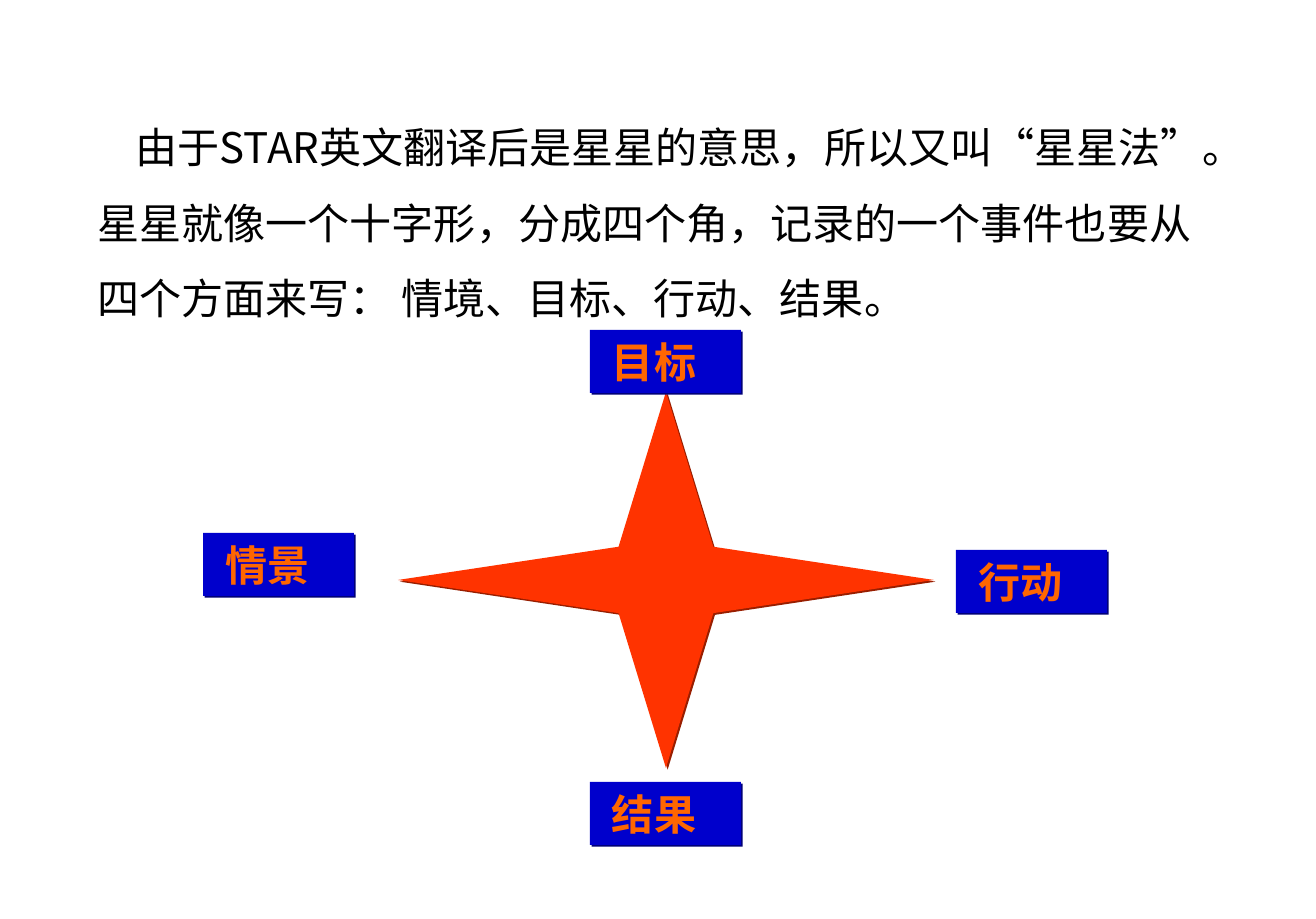
from lxml import etree
from pptx import Presentation, util as u
from pptx.dml.color import RGBColor
from pptx.enum import shapes, text
from pptx.oxml.ns import qn

PX = 7246  # EMU per px
THEME = {
    "font": "Noto Sans CJK SC", "size": u.Pt(24),
    "ink": "000000", "label": "FF6600",
    "box": "0000CC", "box_shadow": "000079",
    "star": "FF3300", "star_shadow": "981E00",
}


def add_filled(kind, box, fill, shadow):
    """Add a borderless shape with a thin hard shadow to the lower right."""
    sp = s.shapes.add_shape(kind, *(v * PX for v in box))
    sp.fill.solid()
    sp.fill.fore_color.rgb = RGBColor.from_string(THEME[fill])
    sp.line.fill.background()
    sp.shadow.inherit = False
    effects = sp._element.spPr.find(qn("a:effectLst"))
    outer = etree.SubElement(effects, qn("a:outerShdw"), dist=str(int(u.Pt(1.4))),
                             dir="2700000", algn="ctr", rotWithShape="0")
    etree.SubElement(outer, qn("a:srgbClr"), val=THEME[shadow])
    return sp


def write(sp, words, color, bold, frame):
    tf = sp.text_frame
    for name, value in frame.items():
        setattr(tf, name, value)
    p = tf.paragraphs[0]
    p.alignment = text.PP_ALIGN.LEFT
    r = p.add_run()
    r.text = words
    for name, value in {"name": THEME["font"], "size": THEME["size"], "bold": bold}.items():
        setattr(r.font, name, value)
    r.font.color.rgb = RGBColor.from_string(THEME[color])
    etree.SubElement(r._r.get_or_add_rPr(), qn("a:ea"), typeface=THEME["font"])
    return p


prs = Presentation()
prs.slide_width, prs.slide_height = 1316 * PX, 919 * PX
s = prs.slides.add_slide(prs.slide_layouts[6])

# Introduction
intro = s.shapes.add_textbox(*(v * PX for v in (85, 90, 1138, 240)))
p = write(intro, "由于STAR英文翻译后是星星的意思，所以又叫“星星法”。星星就像一个十字形，"
          "分成四个角，记录的一个事件也要从四个方面来写： 情境、目标、行动、结果。",
          "ink", False, {"word_wrap": True, "auto_size": text.MSO_AUTO_SIZE.SHAPE_TO_FIT_TEXT})
p.line_spacing = 1.5
p._p.get_or_add_pPr().set("indent", str(38 * PX))

# Star
star = add_filled(shapes.MSO_SHAPE.STAR_4_POINT, (398, 392, 536, 376), "star", "star_shadow")
star.adjustments[0] = 0.125

# Labels at the four points
label_frame = {"word_wrap": True, "margin_left": 22 * PX,
               "vertical_anchor": text.MSO_ANCHOR.MIDDLE}
for words, left, top in (("情景", 203, 533), ("结果", 590, 782),
                         ("目标", 590, 330), ("行动", 956, 550)):
    sp = add_filled(shapes.MSO_SHAPE.RECTANGLE, (left, top, 151, 63), "box", "box_shadow")
    write(sp, words, "label", True, label_frame)

prs.save("out.pptx")
